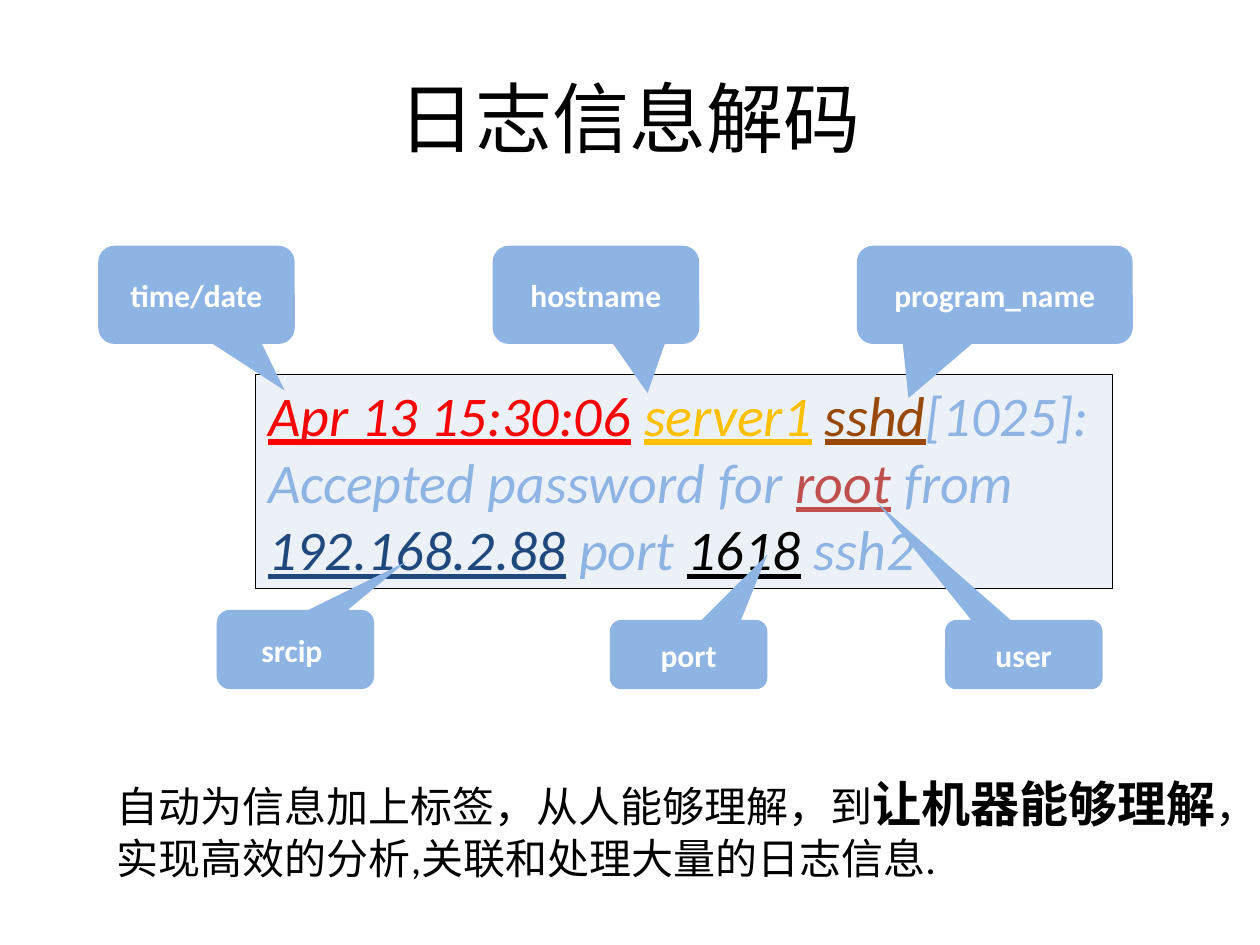
from lxml import etree
from pptx import Presentation
from pptx.dml.color import RGBColor
from pptx.enum.shapes import MSO_SHAPE
from pptx.enum.text import MSO_ANCHOR, PP_ALIGN
from pptx.oxml.ns import qn
from pptx.util import Inches, Pt

RECT = MSO_SHAPE.RECTANGLE
CALLOUT = MSO_SHAPE.ROUNDED_RECTANGULAR_CALLOUT
LEFT, CENTER = PP_ALIGN.LEFT, PP_ALIGN.CENTER
TOP, MIDDLE = MSO_ANCHOR.TOP, MSO_ANCHOR.MIDDLE

COLS, ROWS = 100, 75
FONT = "Calibri"
COLORS = {
    "text": "000000", "white": "FFFFFF", "panel": "DCE6F2", "label": "8EB4E3",
    "time": "FF0000", "host": "FFC000", "program": "984807",
    "user": "C0504D", "ip": "1F497D",
}


class LogSlide:
    """Holds the style and the slide; boxes are (col, row, cols, rows)."""

    def __init__(self, prs):
        self.s = prs.slides.add_slide(prs.slide_layouts[6])
        self.col = prs.slide_width / COLS
        self.row = prs.slide_height / ROWS

    def place(self, box):
        x, y, w, h = box
        return (round(x * self.col), round(y * self.row),
                round(w * self.col), round(h * self.row))

    def style(self, r, size, color="text", bold=False, italic=False, underline=False):
        f = r.font
        f.name, f.size = FONT, Pt(size)
        f.bold, f.italic, f.underline = bold, italic, underline
        f.color.rgb = RGBColor.from_string(COLORS[color])

    def frame(self, sp, anchor, wrap=True):
        tf = sp.text_frame
        tf.word_wrap, tf.vertical_anchor = wrap, anchor
        return tf

    def shape(self, kind, box, fill):
        sp = self.s.shapes.add_shape(kind, *self.place(box))
        sp.shadow.inherit = False
        sp.fill.solid()
        sp.fill.fore_color.rgb = RGBColor.from_string(COLORS[fill])
        sp.line.fill.background()
        return sp

    def runs(self, p, parts, align=LEFT):
        """Fill a paragraph from (text, style) pairs."""
        p.alignment = align
        for text, look in parts:
            r = p.add_run()
            r.text = text
            self.style(r, **look)

    def text(self, box, paragraphs, align=LEFT, anchor=TOP, wrap=True):
        sp = self.s.shapes.add_textbox(*self.place(box))
        tf = self.frame(sp, anchor, wrap)
        for i, parts in enumerate(paragraphs):
            self.runs(tf.add_paragraph() if i else tf.paragraphs[0], parts, align)

    def log_panel(self, box, tokens, opacity):
        """Translucent panel; tokens without a colour are plain log text."""
        sp = self.shape(RECT, box, "panel")
        color = sp.fill._xPr.find(qn("a:solidFill"))[0]
        etree.SubElement(color, qn("a:alpha")).set("val", str(opacity * 1000))
        sp.line.color.rgb = RGBColor.from_string(COLORS["text"])
        sp.line.width = Pt(0.25)
        parts = [(text, dict(size=32, color=color or "label", italic=True,
                             underline=color is not None))
                 for text, color in tokens]
        self.runs(self.frame(sp, TOP).paragraphs[0], parts)

    def callout(self, box, text, tip):
        """Label whose tail ends at tip, a (col, row) point on the grid."""
        x, y, w, h = box
        sp = self.shape(CALLOUT, box, "label")
        sp.adjustments[0] = (tip[0] - x) / w - 0.5
        sp.adjustments[1] = (tip[1] - y) / h - 0.5
        p = self.frame(sp, MIDDLE).paragraphs[0]
        self.runs(p, [(text, dict(size=18, color="white", bold=True))], CENTER)


def main():
    prs = Presentation()
    prs.slide_width, prs.slide_height = Inches(10), Inches(7.5)
    slide = LogSlide(prs)

    slide.text((5, 3, 90, 12.5), [[("日志信息解码", dict(size=44))]], CENTER, MIDDLE)

    slide.log_panel((20.3, 29.7, 68, 17), [
        ("Apr 13 15:30:06", "time"), (" ", None),
        ("server1", "host"), (" ", None),
        ("sshd", "program"), ("[1025]: Accepted password for ", None),
        ("root", "user"), (" from ", None),
        ("192.168.2.88", "ip"), (" port ", None),
        ("1618", "text"), (" ssh2", None),
    ], opacity=53)

    top, bottom = 19.5, 54.7
    for x, w, text, tip in [
        (7.8, 15.6, "time/date", (22.6, 31)),
        (39.1, 16.4, "hostname", (51.4, 31.2)),
        (68, 21.9, "program_name", (72.1, 31.6)),
    ]:
        slide.callout((x, top, w, 7.8), text, tip)
    for x, h, text, tip in [
        (75, 5.5, "user", (69.6, 39.9)),
        (17.2, 6.3, "srcip ", (32.2, 44.6)),
        (48.4, 5.5, "port", (60.9, 44)),
    ]:
        slide.callout((x, bottom - h, 12.5, h), text, tip)

    body = dict(size=24)
    slide.text((8.3, 60.9, 92.5, 9.7), [
        [("自动为信息加上标签，从人能够理解，到", body),
         ("让机器能够理解", dict(size=28, bold=True)), ("，", body)],
        [("实现高效的分析,关联和处理大量的日志信息.", body)],
    ], wrap=False)

    prs.save("out.pptx")


if __name__ == "__main__":
    main()
